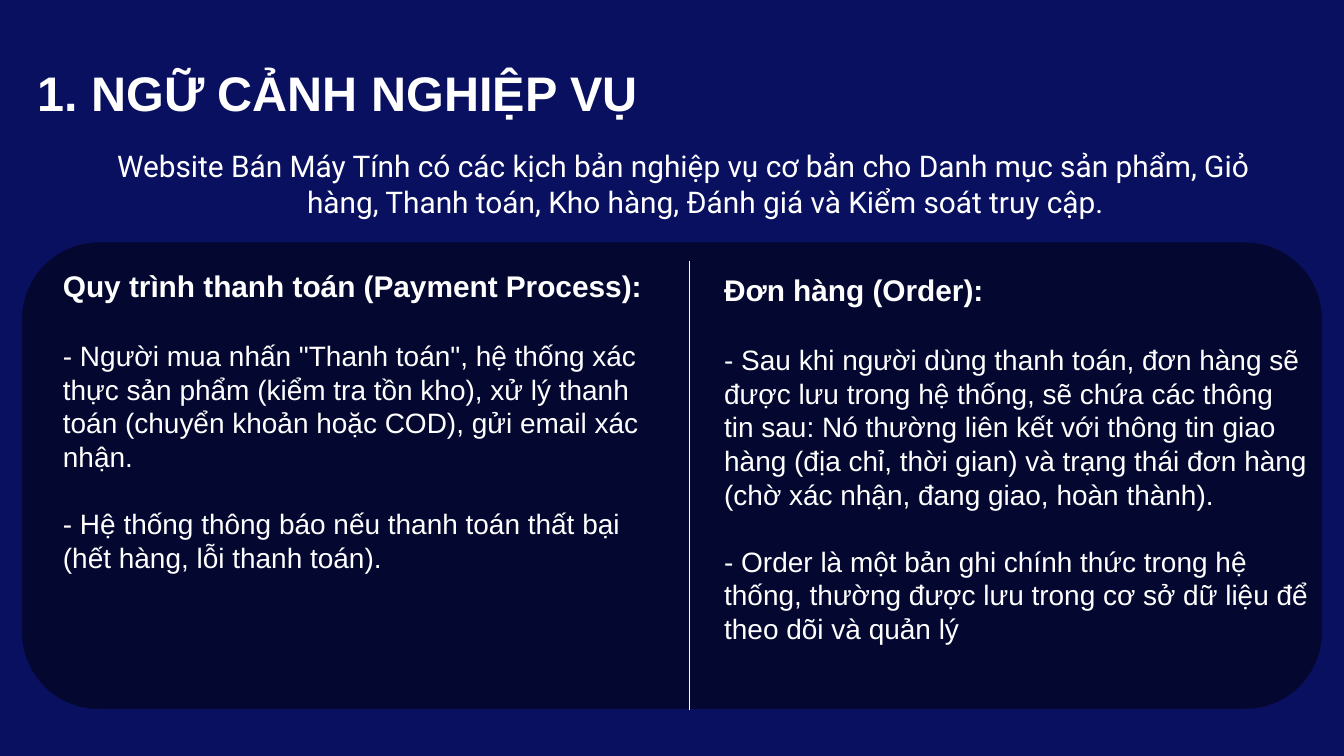
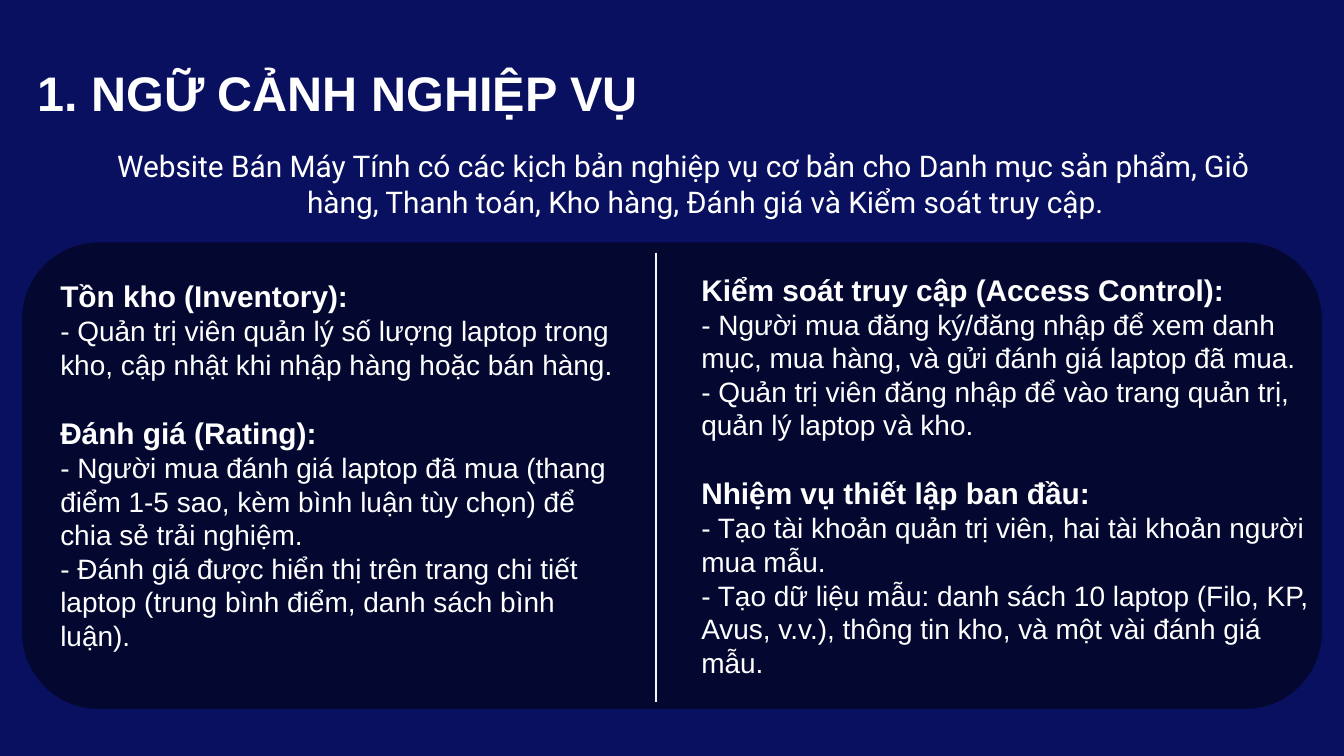
from lxml import etree
from pptx import Presentation
from pptx import util as u
from pptx.dml.color import RGBColor
from pptx.enum import shapes, text
from pptx.oxml import ns

COLORS = {
    "background": "091060",
    "panel": "040830",
    "text": "FFFFFF",
    "divider": "F9F9F9",
}
TITLE = "1. NGỮ CẢNH NGHIỆP VỤ"
INTRO = (
    "Website Bán Máy Tính có các kịch bản nghiệp vụ cơ bản cho Danh mục sản phẩm, "
    "Giỏ hàng, Thanh toán, Kho hàng, Đánh giá và Kiểm soát truy cập."
)
HEADING, BODY = 16, 15
HEADING_GAP, BODY_GAP = 19, 18


class Deck:
    def __init__(self):
        self.prs = Presentation()
        self.prs.slide_width = u.Inches(10)
        self.prs.slide_height = u.Inches(10) * 9 // 16
        self.s = None

    def color(self, name):
        return RGBColor.from_string(COLORS[name])

    def slide(self):
        self.s = self.prs.slides.add_slide(self.prs.slide_layouts[6])
        fill = self.s.background.fill
        fill.solid()
        fill.fore_color.rgb = self.color("background")
        self.title()
        self.intro()
        self.panel()

    def box(self, x, y, w, h, inset=0.05):
        sp = self.s.shapes.add_textbox(*map(u.Inches, (x, y, w, h)))
        tf = sp.text_frame
        tf.word_wrap = True
        tf.margin_left = tf.margin_right = u.Inches(0.1)
        tf.margin_top = tf.margin_bottom = u.Inches(inset)
        return tf

    def run(self, p, words, size, bold=False, font="Arial"):
        r = p.add_run()
        r.text = words
        r.font.name = font
        r.font.size = u.Pt(size)
        r.font.bold = bold
        r.font.color.rgb = self.color("text")

    def title(self):
        tf = self.box(0.18, 0.37, 4.7, 0.63, 0.1)
        tf.vertical_anchor = text.MSO_ANCHOR.BOTTOM
        self.run(tf.paragraphs[0], TITLE, 26, True)

    def intro(self):
        p = self.box(0.38, 1, 9.24, 0.5, 0.1).paragraphs[0]
        p.alignment = text.PP_ALIGN.CENTER
        pPr = p._p.get_or_add_pPr()
        pPr.set("marL", str(u.Inches(0.5)))
        pPr.set("indent", str(u.Inches(-0.33)))
        self.run(p, INTRO, 16, font="Roboto")

    def panel(self):
        sp = self.s.shapes.add_shape(
            shapes.MSO_SHAPE.ROUNDED_RECTANGLE, *map(u.Inches, (0.15, 1.79, 9.7, 3.5)))
        sp.shadow.inherit = False
        sp.fill.solid()
        sp.fill.fore_color.rgb = self.color("panel")
        sp.line.color.rgb = self.color("background")
        sp.line.width = u.Pt(2)

    def column(self, x, y, w, h, sections, spaced=False):
        tf = self.box(x, y, w, h)
        tf.auto_size = text.MSO_AUTO_SIZE.SHAPE_TO_FIT_TEXT
        p = tf.paragraphs[0]
        for i, (heading, items) in enumerate(sections):
            if i:
                p = tf.add_paragraph()
                p.space_before = u.Pt(BODY_GAP)
            self.run(p, heading, HEADING, True)
            for j, item in enumerate(items):
                p = tf.add_paragraph()
                if spaced:
                    p.space_before = u.Pt(BODY_GAP if j else HEADING_GAP)
                self.run(p, item, BODY)

    def divider(self, x, top, bottom):
        line = self.s.shapes.add_connector(
            shapes.MSO_CONNECTOR.STRAIGHT, *map(u.Inches, (x, top, x, bottom)))
        line.line.color.rgb = self.color("divider")
        line.line.width = u.Pt(0.75)
        etree.SubElement(line._element.spPr, ns.qn("a:effectLst"))


def main():
    deck = Deck()

    deck.slide()
    deck.column(0.37, 1.94, 4.6, 2.66, [
        ("Quy trình thanh toán (Payment Process):", [
            "- Người mua nhấn \"Thanh toán\", hệ thống xác thực sản phẩm (kiểm tra tồn kho), "
            "xử lý thanh toán (chuyển khoản hoặc COD), gửi email xác nhận.",
            "- Hệ thống thông báo nếu thanh toán thất bại (hết hàng, lỗi thanh toán).",
        ]),
    ], spaced=True)
    deck.column(5.29, 1.97, 4.56, 3.18, [
        ("Đơn hàng (Order):", [
            "- Sau khi người dùng thanh toán, đơn hàng sẽ được lưu trong hệ thống, sẽ chứa "
            "các thông tin sau: Nó thường liên kết với thông tin giao hàng (địa chỉ, thời "
            "gian) và trạng thái đơn hàng (chờ xác nhận, đang giao, hoàn thành).",
            "- Order là một bản ghi chính thức trong hệ thống, thường được lưu trong cơ sở "
            "dữ liệu để theo dõi và quản lý",
        ]),
    ], spaced=True)
    deck.divider(5.13, 1.94, 5.28)

    deck.slide()
    deck.column(0.35, 2.02, 4.35, 3.42, [
        ("Tồn kho (Inventory):", [
            "- Quản trị viên quản lý số lượng laptop trong kho, cập nhật khi nhập hàng "
            "hoặc bán hàng.",
        ]),
        ("Đánh giá (Rating):", [
            "- Người mua đánh giá laptop đã mua (thang điểm 1-5 sao, kèm bình luận tùy "
            "chọn) để chia sẻ trải nghiệm.",
            "- Đánh giá được hiển thị trên trang chi tiết laptop (trung bình điểm, danh "
            "sách bình luận).",
        ]),
    ])
    deck.column(5.12, 1.97, 4.77, 3.43, [
        ("Kiểm soát truy cập (Access Control):", [
            "- Người mua đăng ký/đăng nhập để xem danh mục, mua hàng, và gửi đánh giá "
            "laptop đã mua.",
            "- Quản trị viên đăng nhập để vào trang quản trị, quản lý laptop và kho.",
        ]),
        ("Nhiệm vụ thiết lập ban đầu:", [
            "- Tạo tài khoản quản trị viên, hai tài khoản người mua mẫu.",
            "- Tạo dữ liệu mẫu: danh sách 10 laptop (Filo, KP, Avus, v.v.), thông tin kho, "
            "và một vài đánh giá mẫu.",
        ]),
    ])
    deck.divider(4.88, 1.88, 5.22)

    deck.prs.save("out.pptx")


if __name__ == "__main__":
    main()
